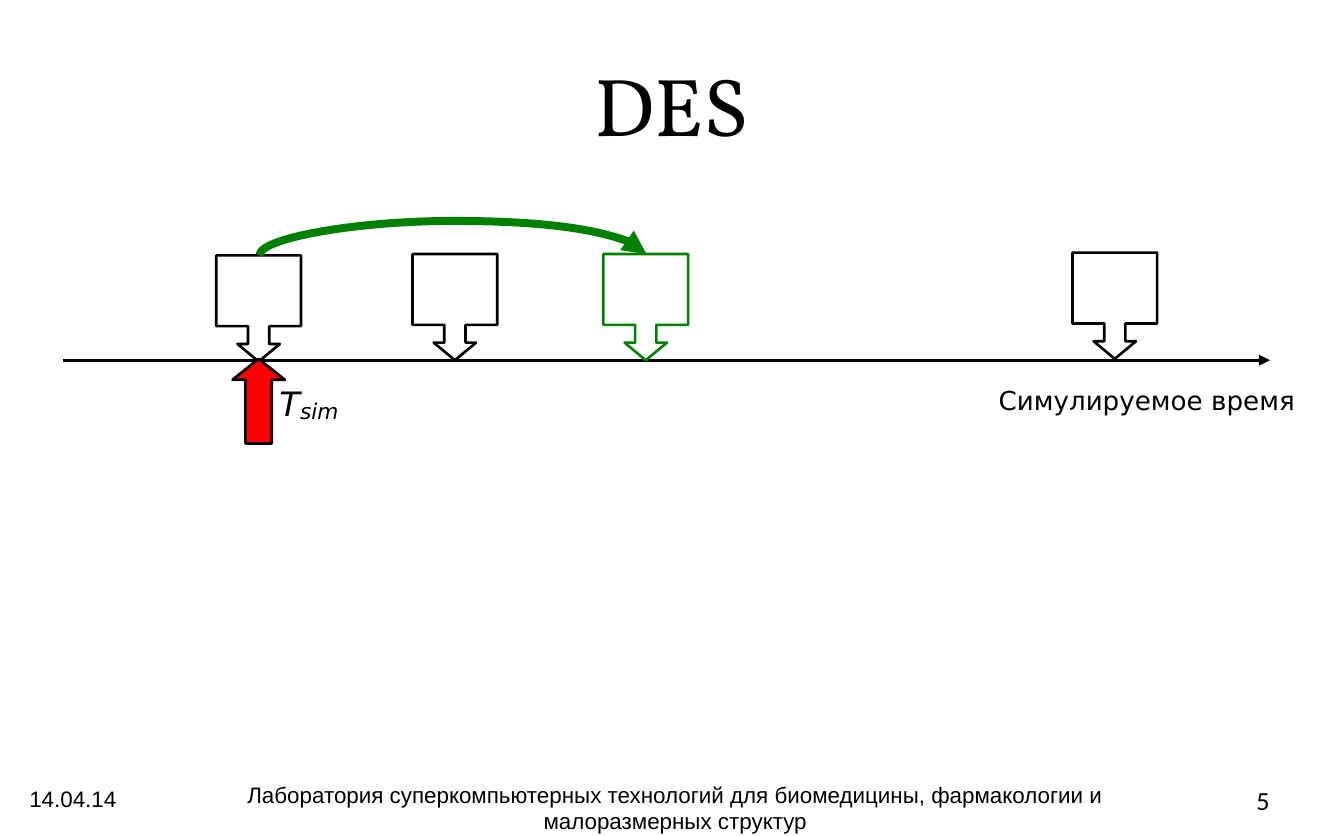
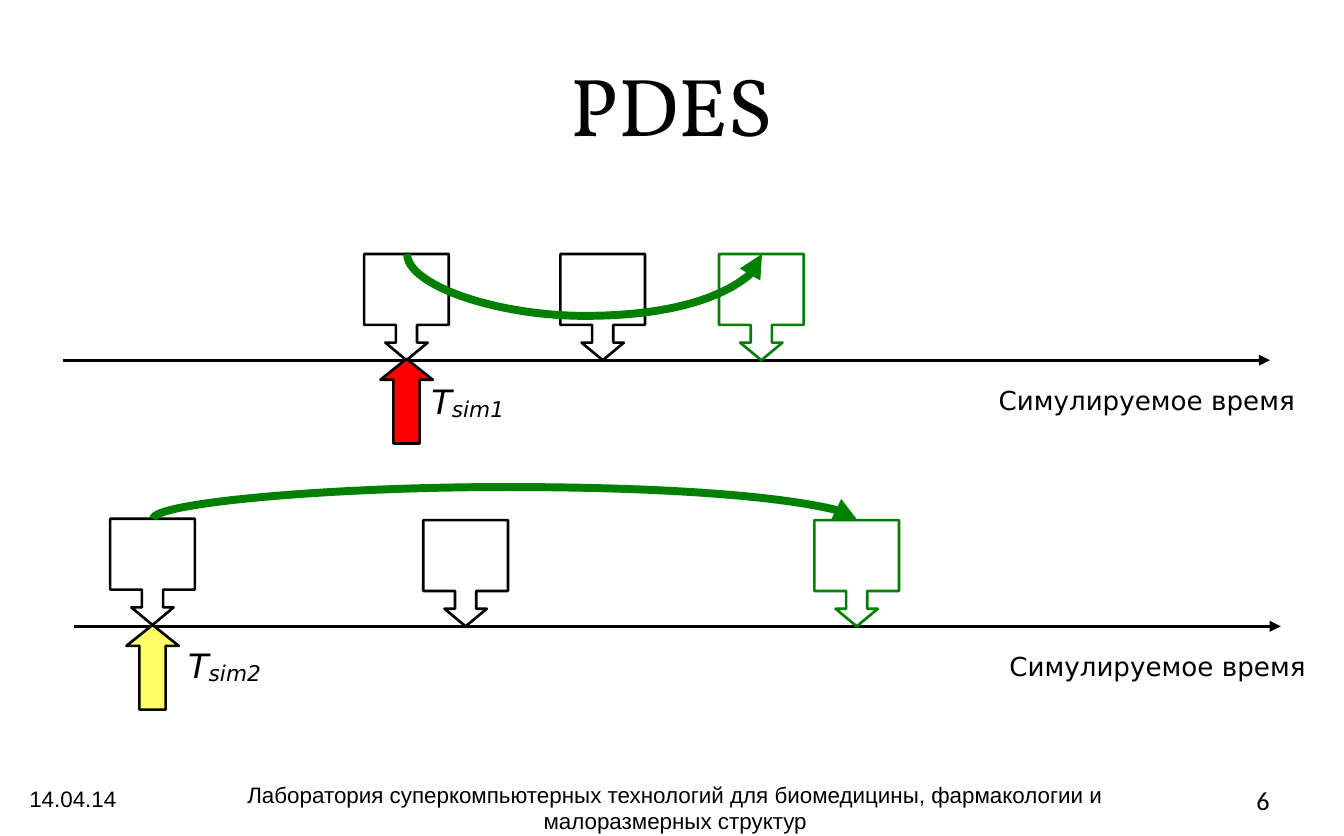
import pptx
import pptx.dml.color
import pptx.enum.shapes
import pptx.enum.text
import pptx.oxml
import pptx.oxml.ns
import pptx.util

PX = 9144  # EMU, 100 px to the inch
HAIR = 360  # EMU, extent of an arc whose ends are level
BLACK, WHITE, GREEN, RED, YELLOW = "000000", "FFFFFF", "008000", "FF0000", "FFFF66"
THIN, THICK = 1.42, 4.25
SHAPES = pptx.enum.shapes.MSO_SHAPE
LINES = pptx.enum.shapes.MSO_CONNECTOR
CENTER = pptx.enum.text.PP_ALIGN.CENTER
MIDDLE = pptx.enum.text.MSO_ANCHOR.MIDDLE
FIT = pptx.enum.text.MSO_AUTO_SIZE

TITLE = {"name": "Vollkorn", "size": 44}
FOOTER = {"name": "Arial", "size": 12}
NUMBER = {"name": "Calibri", "size": 14}
AXIS = {"name": "DejaVu Sans", "size": 14}
CLOCK = {"name": "DejaVu Sans", "size": 18, "italic": True}
INDEX = {**CLOCK, "size": 20, "baseline": -8000}

CALLOUT_W, CALLOUT_H = 63, 79
LAB = "Лаборатория суперкомпьютерных технологий для биомедицины, фармакологии и малоразмерных структур"


def px(*lengths):
    return [pptx.util.Emu(n * PX) for n in lengths]


def rgb(color):
    return pptx.dml.color.RGBColor.from_string(color)


class Deck:
    """Holds the presentation, its style and the current slide."""

    def __init__(self, width, height):
        self.prs = pptx.Presentation()
        self.prs.slide_width, self.prs.slide_height = px(width, height)

    def slide(self, title, number):
        """Start a slide with its title and footer."""
        self.s = self.prs.slides.add_slide(self.prs.slide_layouts[6])
        self.text((50, 25, 900, 104), [(title, TITLE)], align=CENTER, anchor=MIDDLE)
        self.text((12, 579, 110, 33), [("14.04.14", FOOTER)])
        self.text((114, 576, 777, 33), [(LAB, FOOTER)], align=CENTER)
        self.text((925, 579, 56, 33), [(str(number), NUMBER)])

    def text(self, box, runs, wrap=True, inset=(10, 5), align=None, anchor=None):
        """Add a text box; one that does not wrap grows with its text."""
        tf = self.s.shapes.add_textbox(*px(*box)).text_frame
        x, y = px(*inset)
        values = {"word_wrap": wrap, "vertical_anchor": anchor,
                  "auto_size": FIT.NONE if wrap else FIT.SHAPE_TO_FIT_TEXT,
                  "margin_left": x, "margin_right": x, "margin_top": y, "margin_bottom": y}
        for key, value in values.items():
            setattr(tf, key, value)
        p = tf.paragraphs[0]
        p.alignment = align
        for content, style in runs:
            r = p.add_run()
            r.text = content
            for key, value in style.items():
                if key == "baseline":
                    r.font._element.set(key, str(value))
                else:
                    setattr(r.font, key, pptx.util.Pt(value) if key == "size" else value)
            r.font.color.rgb = rgb(BLACK)

    def shape(self, kind, box, adjustments, fill, line=BLACK):
        sp = self.s.shapes.add_shape(kind, *px(*box))
        sp.shadow.inherit = False
        for i, value in enumerate(adjustments):
            sp.adjustments[i] = value
        sp.fill.solid()
        sp.fill.fore_color.rgb = rgb(fill)
        sp.line.color.rgb = rgb(line)
        sp.line.width = pptx.util.Pt(THIN)

    def arrow(self, kind, x1, y1, x2, y2, color, width):
        c = self.s.shapes.add_connector(kind, *px(x1, y1, x2, y2))
        c.line.color.rgb = rgb(color)
        c.line.width = pptx.util.Pt(width)
        ln = c.line._get_or_add_ln()
        ln.append(pptx.oxml.parse_xml(
            f'<a:tailEnd {pptx.oxml.ns.nsdecls("a")} type="triangle"/>'))
        c._element.spPr.append(pptx.oxml.parse_xml(
            f'<a:effectLst {pptx.oxml.ns.nsdecls("a")}/>'))
        return c

    def arc(self, x1, y1, x2, y2, bulge, turn, flips):
        """Draw a curved arrow as a turned connector; bulge is along its own x axis."""
        c = self.arrow(LINES.CURVE, x1, y1, x2, y2, GREEN, THICK)
        width, height = max(abs(y2 - y1) * PX, HAIR), (x2 - x1) * PX
        c.left = (x1 + x2) * PX // 2 - width // 2
        c.top = (y1 + y2) * PX // 2 - height // 2
        c.width, c.height = width, height
        xfrm = c._element.spPr.xfrm
        for flip in ("flipH", "flipV"):
            xfrm.attrib.pop(flip, None)
        xfrm.set("rot", str(turn * 60000))
        for flip in flips:
            xfrm.set(flip, "1")
        ratio = round(bulge * PX / width * 100000)
        c._element.xpath(".//a:avLst")[0].append(pptx.oxml.parse_xml(
            f'<a:gd {pptx.oxml.ns.nsdecls("a")} name="adj1" fmla="val {ratio}"/>'))

    def timeline(self, x, y, events, new_event, bend, clock, clock_fill, label_box):
        """Draw an axis, its events, the event the first one creates, and the clock."""
        self.arrow(LINES.STRAIGHT, x, y, x + 898, y, BLACK, THIN)
        self.text((x + 685, y + 12, 243, 35), [("Симулируемое время", AXIS)],
                  wrap=False, inset=(11, 6))
        for left, top in events + [new_event]:
            color = GREEN if (left, top) == new_event else BLACK
            self.shape(SHAPES.DOWN_ARROW_CALLOUT, (left, top, CALLOUT_W, CALLOUT_H),
                       (0.25, 0.25, 0.208, 0.667), WHITE, color)
        (x1, y1), (x2, y2) = events[0], new_event
        self.arc(x1 + 32, y1, x2 + 32, y2, *bend)
        self.shape(SHAPES.UP_ARROW, (x1 + 12, y - 1, 39, 63), (0.5, 0.4), clock_fill)
        self.text(label_box, [("T", CLOCK), (clock, INDEX)], wrap=False, inset=(11, 6))


def main():
    deck = Deck(1000, 622)

    deck.slide("DES", 5)
    deck.timeline(47, 268, [(161, 190), (307, 189), (798, 188)], (449, 189),
                  (26, 90, ("flipH", "flipV")), "sim", RED, (197, 276, 66, 54))

    deck.slide("PDES", 6)
    deck.timeline(47, 268, [(271, 189), (417, 189)], (535, 189),
                  (-23, 270, ()), "sim1", RED, (310, 275, 78, 54))
    deck.timeline(55, 466, [(82, 386), (315, 387)], (606, 387),
                  (-24, 270, ("flipH",)), "sim2", YELLOW, (129, 471, 78, 54))

    deck.prs.save("out.pptx")


if __name__ == "__main__":
    main()
